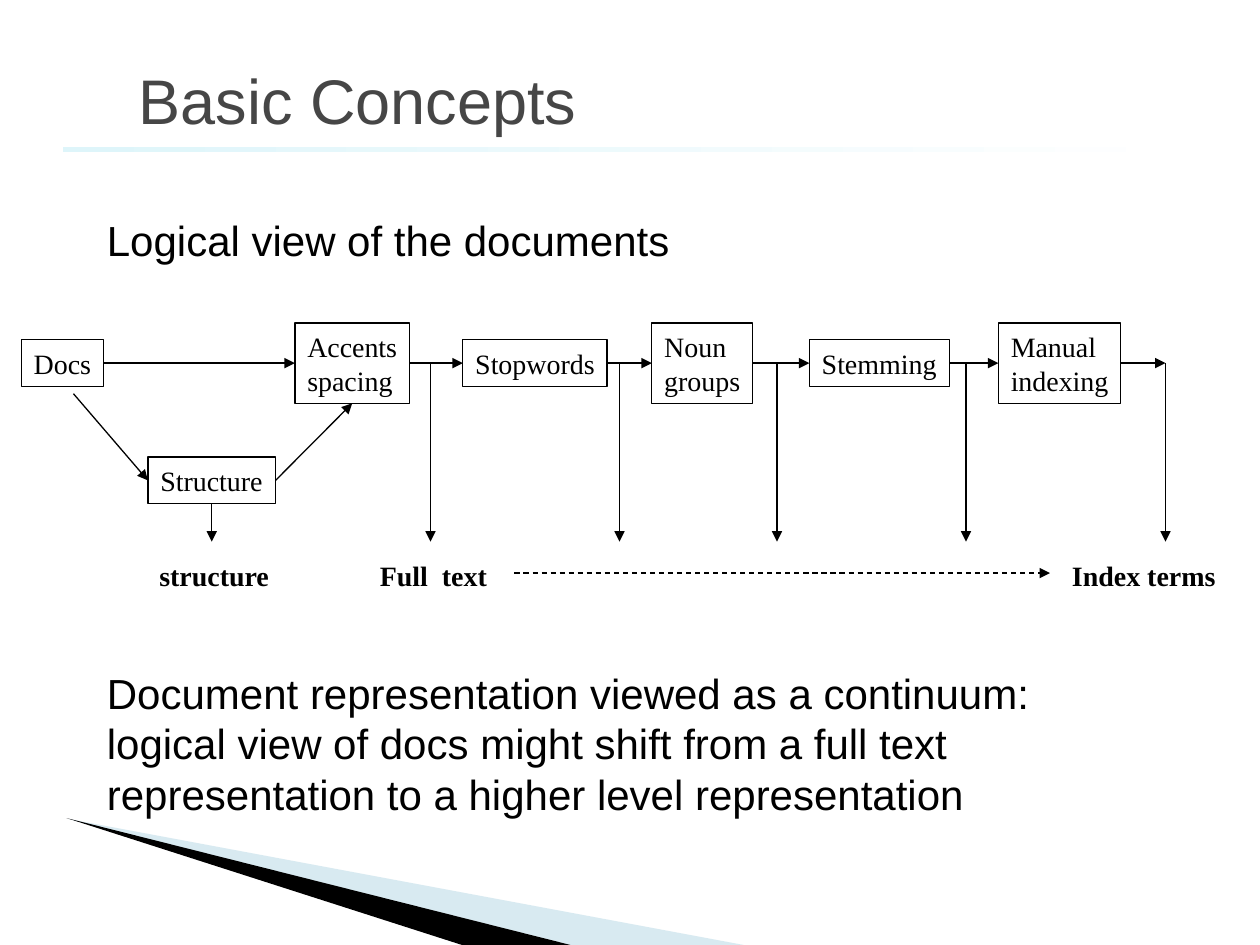
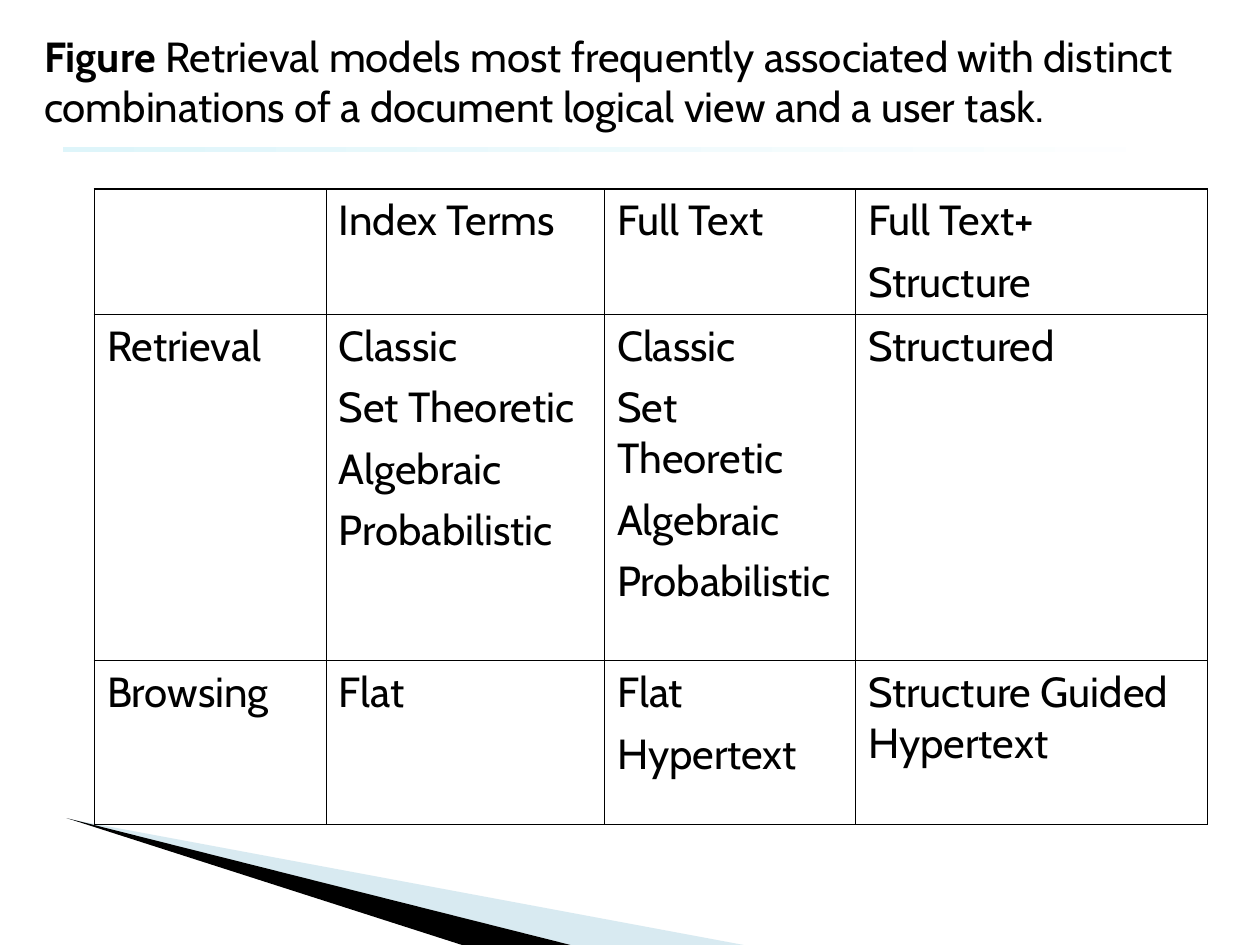
from lxml.etree import SubElement
from pptx import Presentation
from pptx.dml.color import RGBColor
from pptx.enum.dml import MSO_LINE
from pptx.enum.shapes import MSO_CONNECTOR, MSO_SHAPE
from pptx.enum.text import MSO_ANCHOR, MSO_AUTO_SIZE, PP_ALIGN
from pptx.oxml.ns import qn
from pptx.util import Pt

COLORS = {name: RGBColor.from_string(code) for name, code in {
    "ink": "000000", "title": "464646", "wedge": "9FCBDC",
    "rule_start": "DEF5FA", "rule_end": "FFFFFF"}.items()}
SANS, SERIF, CAPTION = "Arial", "Times New Roman", "Cabin"
TOP, LEFT, BOTTOM, RIGHT = range(4)


def style_text(frame, font, size, color="ink", bold=False):
    """Left-align a text frame and give all its runs one font."""
    for para in frame.paragraphs:
        para.alignment = PP_ALIGN.LEFT
        for span in para.runs:
            span.font.name, span.font.size, span.font.bold = font, Pt(size), bold
            span.font.color.rgb = COLORS[color]


def add_arrow(page, start, end):
    """Draw an arrow; each end is a point or a (box, side) pair to join."""
    line = page.shapes.add_connector(MSO_CONNECTOR.STRAIGHT, 0, 0, 0, 0)
    if hasattr(start[0], "shape_id"):
        line.begin_connect(*start)
    else:
        line.begin_x, line.begin_y = map(Pt, start)
    if hasattr(end[0], "shape_id"):
        line.end_connect(*end)
    else:
        line.end_x, line.end_y = map(Pt, end)
    line.line.color.rgb = COLORS["ink"]
    line.line.width = Pt(0.75)
    properties = line._element.spPr
    SubElement(properties.find(qn("a:ln")), qn("a:tailEnd"), type="triangle")
    SubElement(properties, qn("a:effectLst"))
    return line


deck = Presentation()
deck.slide_width, deck.slide_height = Pt(720), Pt(540)

# Shared decoration and titles
wedges = [
    ("wedge", [(39, 468), (425, 540), (326, 540)]),
    ("ink", [(38, 467.5), (326, 540), (264, 540)]),
]
titles = [
    ("Basic Concepts", (72, 30, 480, 54), MSO_ANCHOR.MIDDLE, SANS, 36, "title"),
    ("Figure Retrieval models most frequently associated with distinct "
     "combinations of a document logical view and a user task.",
     (18, 13.7, 702, 93.6), MSO_ANCHOR.TOP, CAPTION, 24, "ink"),
]
pages = []
for text, bounds, anchor, font, size, color in titles:
    page = deck.slides.add_slide(deck.slide_layouts[5])
    pages.append(page)
    for wedge_color, points in wedges:
        builder = page.shapes.build_freeform(*map(Pt, points[0]))
        builder.add_line_segments([tuple(map(Pt, point)) for point in points[1:]])
        wedge = builder.convert_to_shape()
        wedge.shadow.inherit = False
        wedge.fill.solid()
        wedge.fill.fore_color.rgb = COLORS[wedge_color]
        wedge.line.fill.background()
        if wedge_color == "wedge":
            tint = wedge._element.xpath("./p:spPr/a:solidFill/a:srgbClr")[0]
            SubElement(tint, qn("a:alpha"), val="40000")

    rule = page.shapes.add_shape(
        MSO_SHAPE.RECTANGLE, Pt(36), Pt(84), Pt(648), Pt(2.7))
    rule.shadow.inherit = False
    rule.line.fill.background()
    rule.fill.gradient()
    rule.fill.gradient_angle = 0
    for stop, stop_color in zip(rule.fill.gradient_stops, ("rule_start", "rule_end")):
        stop.color.rgb = COLORS[stop_color]

    title = page.shapes.title
    title.left, title.top, title.width, title.height = map(Pt, bounds)
    frame = title.text_frame
    frame.text = text
    frame.word_wrap = True
    frame.auto_size = MSO_AUTO_SIZE.NONE
    frame.vertical_anchor = anchor
    style_text(frame, font, size, color)

concepts_page, models_page = pages

# Basic concepts: text around the diagram
body = concepts_page.shapes.add_textbox(Pt(54), Pt(90), Pt(588), Pt(324)).text_frame
body.word_wrap = True
body.margin_top = Pt(32.5)
body.text = (
    "Logical view of the documents\n"
    "Document representation viewed as a continuum: logical view of docs might "
    "shift from a full text representation to a higher level representation")
style_text(body, SANS, 24)
body.paragraphs[1].space_before = Pt(230)

# Processing steps, centred on one flow line
flow_y = 207.5
steps = [
    ("Docs", 12.2, 47, flow_y),
    ("Accents\nspacing", 168.5, 65.5, flow_y),
    ("Stopwords", 264.5, 82.5, flow_y),
    ("Noun\ngroups", 372.5, 57.5, flow_y),
    ("Stemming", 462.5, 80, flow_y),
    ("Manual\nindexing", 570.5, 70, flow_y),
    ("Structure", 84.5, 73, 274.5),
]
boxes = []
for text, left, width, middle in steps:
    height = 46 if "\n" in text else 26.6
    box = concepts_page.shapes.add_shape(
        MSO_SHAPE.RECTANGLE, Pt(left), Pt(middle - height / 2), Pt(width), Pt(height))
    box.shadow.inherit = False
    box.fill.background()
    box.line.color.rgb = COLORS["ink"]
    box.line.width = Pt(0.75)
    frame = box.text_frame
    frame.text = text
    frame.word_wrap = True
    frame.margin_right = 0  # spare room keeps each label line whole
    frame.auto_size = MSO_AUTO_SIZE.NONE
    frame.vertical_anchor = MSO_ANCHOR.MIDDLE
    style_text(frame, SERIF, 16)
    boxes.append(box)

*flow, structure = boxes
accents, manual = flow[1], flow[-1]
for box, next_box in zip(flow, flow[1:]):
    add_arrow(concepts_page, (box, RIGHT), (next_box, LEFT))
add_arrow(concepts_page, (manual, RIGHT), (666, flow_y))
add_arrow(concepts_page, (42, 225), (structure, LEFT))
add_arrow(concepts_page, (structure, RIGHT), (accents, BOTTOM))

output_y = 309.5
add_arrow(concepts_page, (structure, BOTTOM), (121, output_y))
for x in (246, 354, 444, 552, 666):
    add_arrow(concepts_page, (x, flow_y), (x, output_y))
continuum = add_arrow(concepts_page, (294, 327.5), (600, 327.5))
continuum.line.dash_style = MSO_LINE.DASH

for text, left, width in (
        ("structure", 84, 77), ("Full  text", 210, 85), ("Index terms", 605.5, 96.5)):
    label = concepts_page.shapes.add_textbox(Pt(left), Pt(315.5), Pt(width), Pt(26.6))
    label.text_frame.text = text
    label.text_frame.word_wrap = False
    style_text(label.text_frame, SERIF, 16, bold=True)

# Retrieval models: bold lead-in of the caption, then the table
caption = models_page.shapes.title.text_frame.paragraphs[0]
lead, rest = caption.runs[0], caption.add_run()
lead_text, rest.text = lead.text[:7], lead.text[7:]
lead.text = lead_text
style_text(models_page.shapes.title.text_frame, CAPTION, 24)
lead.font.bold = True

models = "Classic\nSet Theoretic\nAlgebraic\nProbabilistic"
rows = [
    ("", "Index Terms", "Full Text", "Full Text+\nStructure"),
    ("Retrieval", models, models, "Structured"),
    ("Browsing", "Flat", "Flat\nHypertext", "Structure Guided Hypertext"),
]
column_widths = (132.5, 159, 143.5, 201)
row_heights = (71, 198, 93.5)
table = models_page.shapes.add_table(
    len(rows), len(column_widths), Pt(54), Pt(108),
    Pt(sum(column_widths)), Pt(sum(row_heights))).table
table.first_row = table.horz_banding = False
for column, width in zip(table.columns, column_widths):
    column.width = Pt(width)
for row, height in zip(table.rows, row_heights):
    row.height = Pt(height)

for r, texts in enumerate(rows):
    for c, text in enumerate(texts):
        cell = table.cell(r, c)
        properties = cell._tc.get_or_add_tcPr()
        outer_edges = {
            "lnL": c == 0, "lnR": c == len(texts) - 1,
            "lnT": r == 0, "lnB": r == len(rows) - 1}
        for edge, is_outer in outer_edges.items():
            width = Pt(1.08 if is_outer else 0.45)
            border = SubElement(properties, qn(f"a:{edge}"), w=str(width))
            fill = SubElement(border, qn("a:solidFill"))
            SubElement(fill, qn("a:srgbClr"), val=str(COLORS["ink"]))
        cell.fill.background()
        if text:
            cell.text_frame.text = text
            style_text(cell.text_frame, CAPTION, 24)
            for para in cell.text_frame.paragraphs:
                para.space_before = Pt(6)

deck.save("out.pptx")
